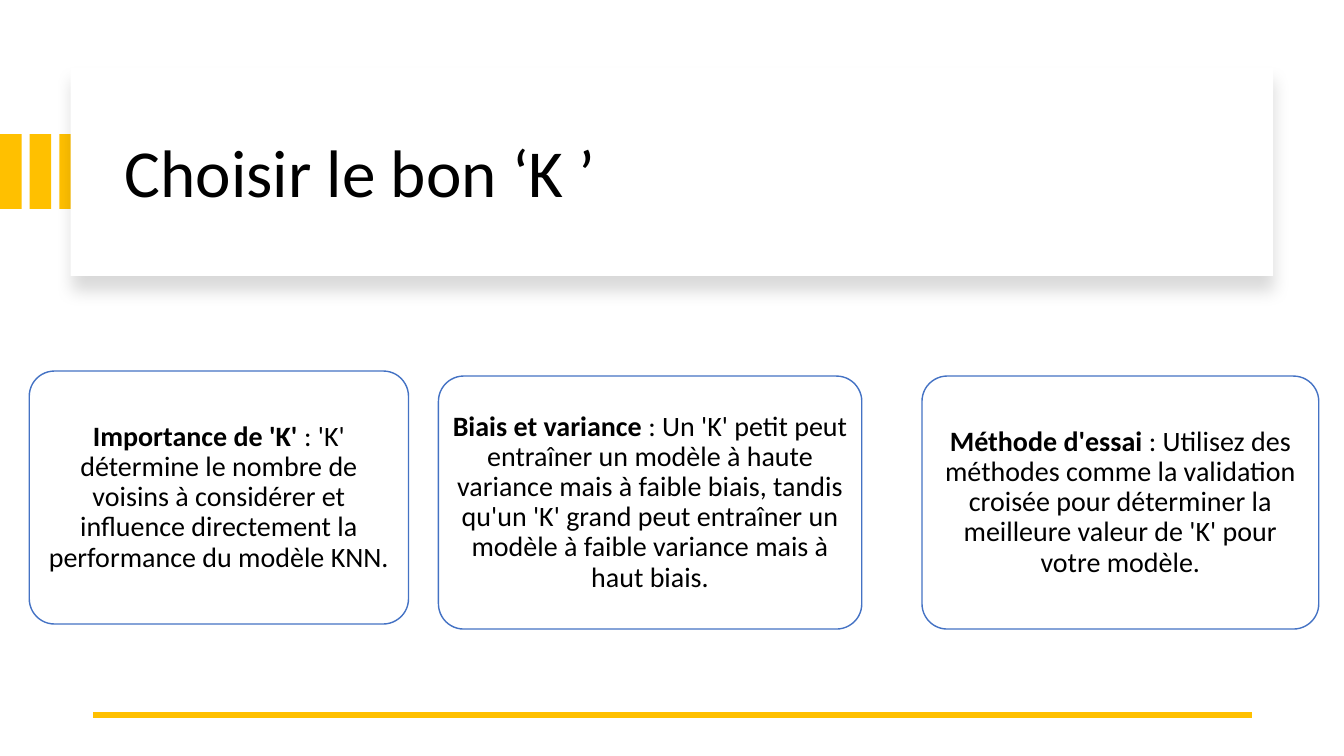
"""Build the slide on choosing K for a nearest-neighbour model."""
from lxml import etree
from pptx import Presentation
from pptx.dml.color import RGBColor
from pptx.enum import shapes, text
from pptx.oxml import ns
from pptx.util import Pt

GOLD = RGBColor(0xFF, 0xC0, 0x00)
BLUE = RGBColor(0x44, 0x72, 0xC4)
WHITE = RGBColor(0xFF, 0xFF, 0xFF)
BLACK = RGBColor(0x00, 0x00, 0x00)
FONT = "Calibri"

TITLE = "Choisir le bon ‘K\u00a0’"
CARDS = [
    (20.9, 265, 270.9, "Importance de 'K'",
     " : 'K' détermine le nombre de voisins à considérer et influence "
     "directement la performance du modèle KNN."),
    (313.2, 268.6, 302.4, "Biais et variance",
     " : Un 'K' petit peut entraîner un modèle à haute variance mais à faible "
     "biais, tandis qu'un 'K' grand peut entraîner un modèle à faible variance "
     "mais à haut biais."),
    (658.6, 268.6, 283.4, "Méthode d'essai",
     " : Utilisez des méthodes comme la validation croisée pour déterminer la "
     "meilleure valeur de 'K' pour votre modèle."),
]
CARD_HEIGHT = 180.7
BAR_COUNT, BAR_STEP = 3, 21.2


def add(parent, tag, **attributes):
    return etree.SubElement(parent, ns.qn(tag), attributes)


def add_block(kind, left, top, width, height, fill):
    shape = page.shapes.add_shape(kind, Pt(left), Pt(top), Pt(width), Pt(height))
    shape.shadow.inherit = False
    shape.fill.solid()
    shape.fill.fore_color.rgb = fill
    shape.line.fill.background()
    return shape


def write(frame, spans, size, align, inset):
    frame.word_wrap = True
    frame.vertical_anchor = text.MSO_ANCHOR.MIDDLE
    frame.margin_left = frame.margin_right = Pt(inset)
    frame.margin_top = frame.margin_bottom = Pt(inset)
    para = frame.paragraphs[0]
    para.alignment = align
    para.line_spacing = 0.9
    for words, bold in spans:
        span = para.add_run()
        span.text = words
        span.font.name = FONT
        span.font.size = Pt(size)
        span.font.bold = bold
        span.font.color.rgb = BLACK


deck = Presentation()
deck.slide_width, deck.slide_height = Pt(960), Pt(540)
page = deck.slides.add_slide(deck.slide_layouts[6])
RECTANGLE = shapes.MSO_SHAPE.RECTANGLE

for index in range(BAR_COUNT):
    add_block(RECTANGLE, index * BAR_STEP, 95.9, 15.4, 53.4, GOLD)

banner = add_block(RECTANGLE, 50.4, 48.2, 859, 149, WHITE)
effects = banner._element.spPr.find(ns.qn("a:effectLst"))
shadow = add(effects, "a:outerShdw", blurRad=str(Pt(11)), dist=str(Pt(10)),
             dir="5400000", algn="t", rotWithShape="0")
add(add(shadow, "a:srgbClr", val=str(BLACK)), "a:alpha", val="15000")

title = page.shapes.add_textbox(Pt(82.1), Pt(64.1), Pt(801.4), Pt(122.4))
write(title.text_frame, [(TITLE, False)], 48, text.PP_ALIGN.LEFT, 7.2)

rule = page.shapes.add_connector(
    shapes.MSO_CONNECTOR.STRAIGHT, Pt(894.2), Pt(510.5), Pt(66.2), Pt(510.5))
rule.line.color.rgb = GOLD
rule.line.width = Pt(4.5)
add(rule._element.spPr, "a:effectLst")

for left, top, width, heading, body in CARDS:
    card = add_block(shapes.MSO_SHAPE.ROUNDED_RECTANGLE,
                     left, top, width, CARD_HEIGHT, WHITE)
    card.adjustments[0] = 0.1
    color = card._element.spPr.find(ns.qn("a:solidFill"))[0]
    add(color, "a:alpha", val="90000")
    card.line.color.rgb = BLUE
    card.line.width = Pt(1)
    write(card.text_frame, [(heading, True), (body, False)], 20,
          text.PP_ALIGN.CENTER, 4)

deck.save("out.pptx")
